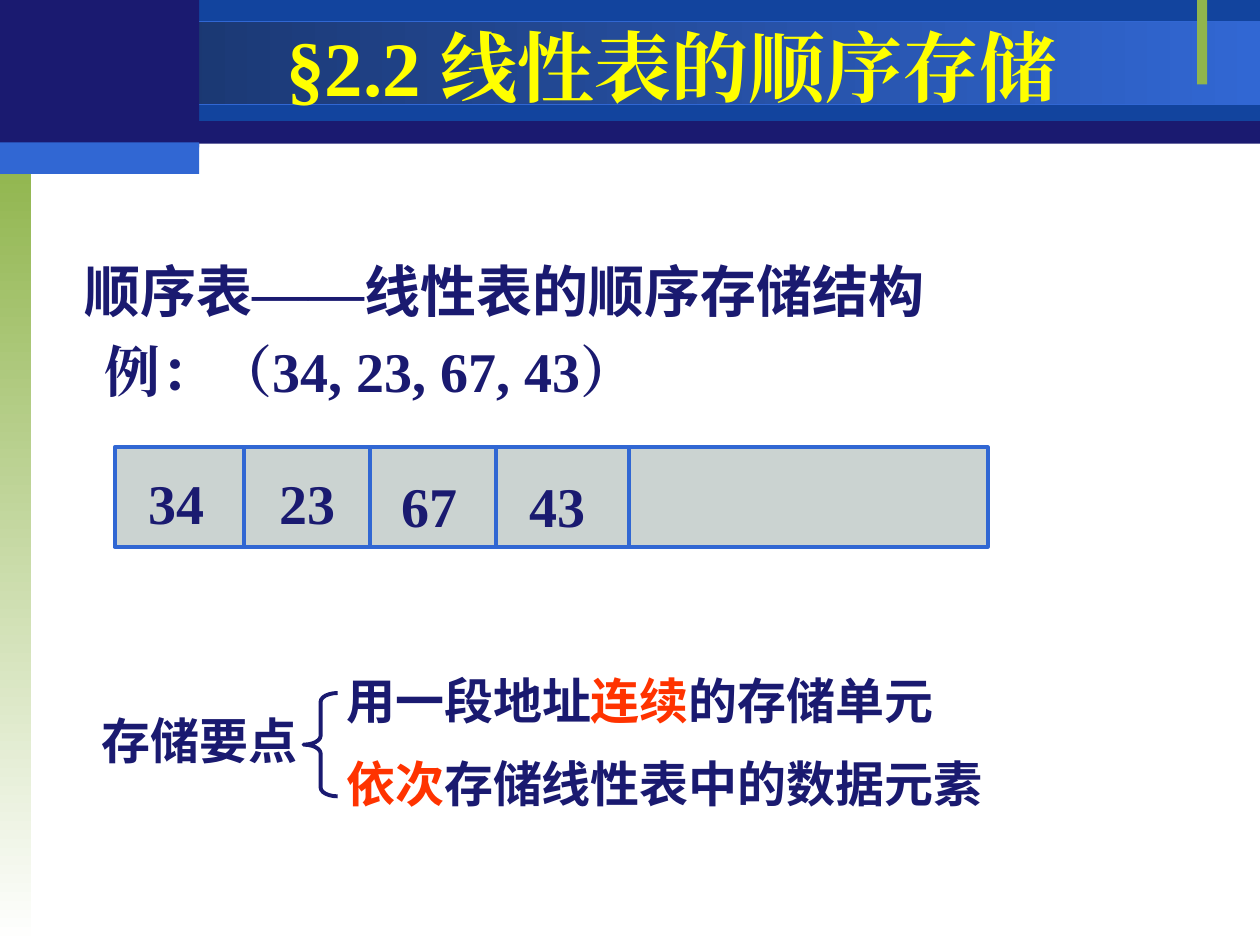
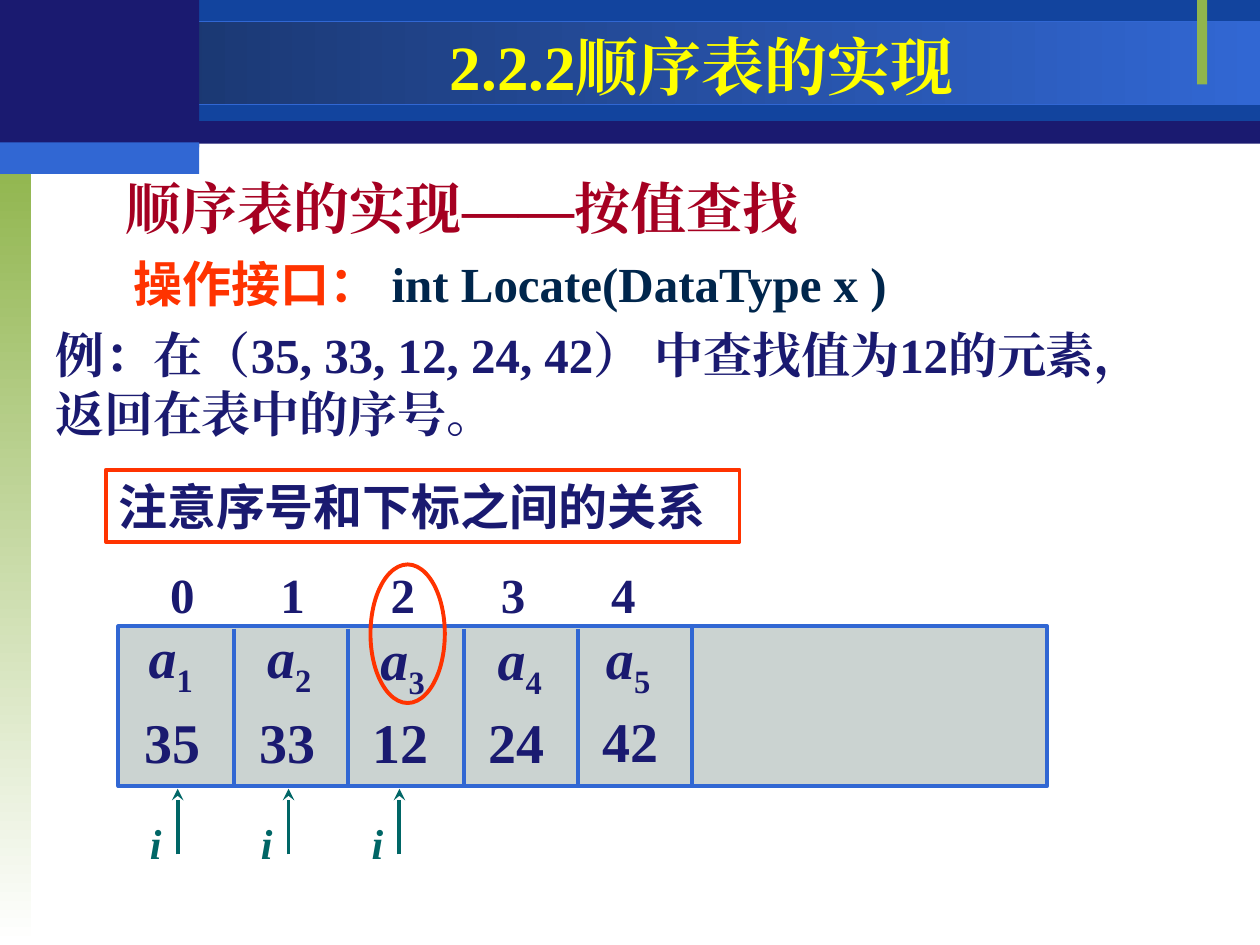
from lxml import etree
from pptx import Presentation
from pptx import util as u
from pptx.dml.color import RGBColor
from pptx.enum import lang, shapes, text
from pptx.oxml import ns

NAVY, BAND, BLUE, GREEN = "1A1A70", "12449E", "3167D3", "90B54D"
RED, CRIMSON, YELLOW, TEAL = "FF3300", "A50021", "FFFF00", "006666"
INK, CELL = "00264C", "CBD3D1"
SERIF, SANS, CJK = "Times New Roman", "Arial", "Noto Sans CJK SC"
RECT = shapes.MSO_SHAPE.RECTANGLE

presentation = Presentation()
presentation.slide_width = u.Inches(10)
presentation.slide_height = u.Inches(7.5)
# All positions and sizes are counted on a grid of 100 columns by 75 rows.
COLUMN = presentation.slide_width // 100
ROW = presentation.slide_height // 75


def add_shape(slide, kind, at, fill=None, line=None, width=2.25, angle=0, arrow=False):
    """Add a preset shape, or a straight line if kind is None; a pair of fills is a gradient."""
    left, top, across, down = at
    if kind is None:
        shape = slide.shapes.add_connector(
            shapes.MSO_CONNECTOR.STRAIGHT, int(left * COLUMN), int(top * ROW),
            int((left + across) * COLUMN), int((top + down) * ROW))
        etree.SubElement(shape._element.spPr, ns.qn("a:effectLst"))
    else:
        shape = slide.shapes.add_shape(
            kind, int(left * COLUMN), int(top * ROW), int(across * COLUMN), int(down * ROW))
        shape.shadow.inherit = False
        if isinstance(fill, tuple):
            shape.fill.gradient()
            shape.fill.gradient_angle = angle
            for stop, color in zip(shape.fill.gradient_stops, fill):
                stop.color.rgb = RGBColor.from_string(color)
        elif fill:
            shape.fill.solid()
            shape.fill.fore_color.rgb = RGBColor.from_string(fill)
        else:
            shape.fill.background()
    if line:
        shape.line.color.rgb = RGBColor.from_string(line)
        shape.line.width = u.Pt(width)
    else:
        shape.line.fill.background()
    if arrow:
        etree.SubElement(shape.line._get_or_add_ln(), ns.qn("a:tailEnd"), type="stealth")
    return shape


def add_text(slide, at, paragraphs, size, font=SERIF, color=NAVY, inset=1, gap=0,
             middle=False, center=False, wrap=True, tab=None):
    """Add bold text; each paragraph lists runs as (text, overrides)."""
    left, top, across, down = at
    box = slide.shapes.add_textbox(
        int(left * COLUMN), int(top * ROW), int(across * COLUMN), int(down * ROW))
    frame = box.text_frame
    frame.word_wrap = wrap
    frame.margin_left = frame.margin_right = int(inset * COLUMN)
    if middle:
        frame.vertical_anchor = text.MSO_ANCHOR.MIDDLE
    for number, runs in enumerate(paragraphs):
        paragraph = frame.add_paragraph() if number else frame.paragraphs[0]
        if number:
            paragraph.space_before = u.Pt(gap)
        if tab:
            stops = etree.SubElement(paragraph._p.get_or_add_pPr(), ns.qn("a:tabLst"))
            for step in range(1, 5):
                etree.SubElement(stops, ns.qn("a:tab"), pos=str(int(step * tab * COLUMN)), algn="l")
        paragraph.alignment = text.PP_ALIGN.CENTER if center else text.PP_ALIGN.LEFT
        for words, changes in runs:
            run = paragraph.add_run()
            run.text = words
            run.font.size = u.Pt(size)
            run.font.bold = True
            run.font.italic = changes.get("italic", False)
            run.font.language_id = lang.MSO_LANGUAGE_ID.SIMPLIFIED_CHINESE
            run.font.color.rgb = RGBColor.from_string(changes.get("color", color))
            run.font.name = changes.get("font", font)
            properties = run._r.get_or_add_rPr()
            etree.SubElement(properties, ns.qn("a:ea"), typeface=run.font.name)
            if "baseline" in changes:
                properties.set("baseline", str(changes["baseline"]))
    return box


# Shared bands and titles
slides = []
for title, size, width in (("§2.2 线性表的顺序存储", 44, 75), ("2.2.2顺序表的实现", 36, 79.8)):
    slide = presentation.slides.add_slide(presentation.slide_layouts[6])
    add_shape(slide, RECT, (0, 0.1, 100, 11.3), NAVY)
    add_shape(slide, RECT, (15.8, 0, 84.2, 9.6), BAND)
    add_shape(slide, RECT, (0, 1.7, 100, 6.6), ("173062", BLUE), BLUE, 0.75)
    add_shape(slide, RECT, (0, 12.5, 2.5, 62.5), (GREEN, "FFFFFF"), angle=270)
    add_shape(slide, RECT, (95, 0, 0.8, 6.7), GREEN)
    add_shape(slide, RECT, (0, 0, 15.8, 11.7), NAVY)
    add_shape(slide, RECT, (0, 11.3, 15.8, 2.5), BLUE)
    add_text(slide, (15.8, 2.3, width, 5.8), [[(title, {})]], size,
             color=YELLOW, middle=True, center=True)
    slides.append(slide)
storage, search = slides

# Sequential storage
add_text(storage, (5.7, 19.9, 82.5, 6.4),
         [[("顺序表", {}), ("——", {"font": SERIF}), ("线性表的顺序存储结构", {})]], 32, CJK)
add_text(storage, (7.3, 26.2, 54, 6.4), [[("例：（34, 23, 67, 43）", {})]], 32)
add_shape(storage, RECT, (9.1, 35.5, 69.3, 7.9), CELL, BLUE)
for divider in (19.4, 29.4, 39.4, 49.9):
    add_shape(storage, None, (divider, 35.5, 0, 7.9), line=BLUE)
for value, left, top in (("34", 11.8, 36.7), ("23", 22.2, 36.7), ("67", 31.9, 36.9), ("43", 42, 36.9)):
    add_text(storage, (left, top, 5.4, 6.4), [[(value, {})]], 32, inset=0)

add_text(storage, (7.1, 55.9, 17.5, 5.7), [[("存储要点", {})]], 28, SANS, wrap=False)
brace = add_shape(storage, shapes.MSO_SHAPE.LEFT_BRACE, (24.1, 55, 2.7, 8.2), line=NAVY)
brace.adjustments[0] = 0.26
add_text(storage, (26.5, 52.7, 64.1, 12.4),
         [[("用一段地址", {}), ("连续", {"color": RED}), ("的存储单元", {})],
          [("依次", {"color": RED}), ("存储线性表中的数据元素", {})]], 28, SANS, gap=14)

# Search by value
add_text(search, (9, 13.2, 64.8, 6.4), [[("顺序表的实现——按值查找", {})]], 32,
         color=CRIMSON, middle=True)
add_text(search, (9.6, 19.6, 65.8, 5.7),
         [[("操作接口： ", {"font": SANS, "color": RED}), ("int Locate(DataType x )", {})]],
         28, color=INK)
add_text(search, (3.4, 25.3, 91.7, 10.4),
         [[("例：在（35, 33, 12, 24, 42） 中查找值为12的元素，返回在表中的序号。", {})]], 28)
add_shape(search, RECT, (8.4, 37.3, 50.3, 5.7), line=RED)
add_text(search, (8.4, 37.3, 50.3, 5.7), [[("注意序号和下标之间的关系", {})]], 28, SANS)

add_shape(search, RECT, (9.4, 49.7, 73.7, 12.7), CELL, BLUE)
for divider, top in ((18.6, 49.9), (27.6, 49.9), (36.8, 49.9), (45.9, 49.9), (54.9, 49.6)):
    add_shape(search, None, (divider, top, 0, 12.6), line=BLUE)
add_text(search, (13.5, 44.3, 65.1, 5.7), [[("0\t1\t2\t3\t4", {})]], 28, inset=0, tab=8.75)
elements = (("35", 11.5, 55.7, 11.8, 48.9), ("33", 20.6, 55.7, 21.2, 48.9),
            ("12", 29.6, 55.7, 30.2, 49.1), ("24", 38.8, 55.7, 39.5, 49.1),
            ("42", 47.8, 55.6, 48.1, 49))
for order, (value, value_left, value_top, name_left, name_top) in enumerate(elements, 1):
    add_text(search, (value_left, value_top, 5.4, 6.4), [[(value, {})]], 32, inset=0)
    add_text(search, (name_left, name_top, 5.4, 7.1),
             [[("a", {"italic": True}), (str(order), {"baseline": -25000})]], 32, inset=0)
add_shape(search, shapes.MSO_SHAPE.OVAL, (29.4, 44.8, 5.9, 11), line=RED)
for step in range(3):
    pointer = 14.1 + 8.8 * step
    add_shape(search, None, (pointer, 67.8, 0, -5.2), line=TEAL, arrow=True)
    add_text(search, (pointer - 2.2, 64.4, 2.2, 5), [[("i", {"italic": True})]], 24,
             color=TEAL, inset=0)

presentation.save("out.pptx")
